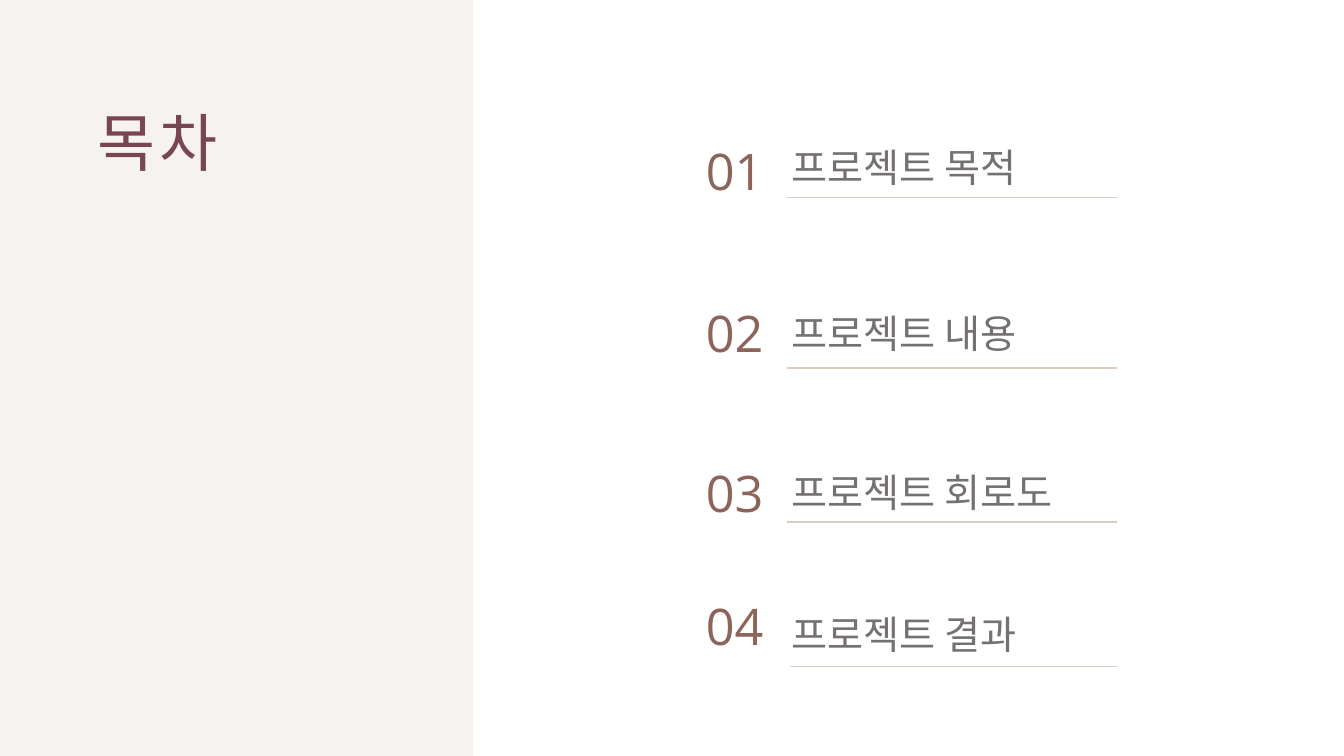
from lxml import etree
from pptx import Presentation
from pptx.dml.color import RGBColor
from pptx.enum.shapes import MSO_CONNECTOR, MSO_SHAPE
from pptx.oxml.ns import qn
from pptx.util import Inches, Pt

RECT = MSO_SHAPE.RECTANGLE
LINE = MSO_CONNECTOR.STRAIGHT
HUES = {"panel": "A08264", "title": "784650", "num": "8C645A",
        "item": "767171", "rule": "D9CDC1"}
SANS = "Open Sans"
HANGUL = "Noto Sans CJK KR"
ROWS = [
    ("프로젝트 목적", 1.39, 1.42, 1.96, 7.81, 1),
    ("프로젝트 내용", 3, 3.07, 3.65, 7.81, 1),
    ("프로젝트 회로도", 4.58, 4.65, 5.18, 7.81, 1),
    ("프로젝트 결과", 5.9, 6.05, 6.61, 7.84, 0.5),
]


def hue(name):
    return RGBColor.from_string(HUES[name])


def add_text(slide, text, box, size, font, color, lead=None, track=0):
    frame = slide.shapes.add_textbox(*map(Inches, box)).text_frame
    frame.word_wrap = True
    frame.margin_top = frame.margin_bottom = 0
    frame.margin_left = frame.margin_right = Inches(0.08)
    para = frame.paragraphs[0]
    if lead:
        para.line_spacing = Pt(lead)
    run = para.add_run()
    run.text = text
    run.font.size = Pt(size)
    run.font.name = font
    run.font.color.rgb = hue(color)
    props = run.font._element
    etree.SubElement(props, qn("a:ea")).set("typeface", font)
    if track:
        props.set("spc", str(track * 100))


def add_rule(slide, left, right, top, width):
    rule = slide.shapes.add_connector(
        LINE, *map(Inches, (left, top, right, top)))
    rule.line.color.rgb = hue("rule")
    rule.line.width = Pt(width)
    etree.SubElement(rule._element.spPr, qn("a:effectLst"))


def add_panel(slide, box):
    left, top, width, height = box
    panel = slide.shapes.add_shape(RECT, *map(Inches, box))
    panel.shadow.inherit = False
    panel.fill.solid()
    panel.fill.fore_color.rgb = hue("panel")
    shade = panel._element.spPr.find(".//" + qn("a:srgbClr"))
    etree.SubElement(shade, qn("a:alpha")).set("val", "10000")
    panel.line.fill.background()
    add_text(slide, "목차", (left + 0.91, top + 1.15, 3.14, 0.72),
             45, HANGUL, "title", lead=45, track=3)


def add_list(slide, box):
    left, top, width, height = box
    for i, (text, num, item, rule, start, weight) in enumerate(ROWS, 1):
        add_text(slide, f"{i:02}", (left, top + num, 0.85, 0.71),
                 36, SANS, "num")
        add_text(slide, text, (left + 0.85, top + item, 3.73, 0.57),
                 28, HANGUL, "item")
        add_rule(slide, start, left + 4.16, top + rule, weight)


def main():
    deck = Presentation()
    deck.slide_width = Inches(13.33)
    deck.slide_height = Inches(7.5)
    slide = deck.slides.add_slide(deck.slide_layouts[6])
    add_panel(slide, (-0.02, 0, 4.71, 7.5))
    add_list(slide, (6.92, 0, 4.58, 7.5))
    deck.save("out.pptx")


if __name__ == "__main__":
    main()
